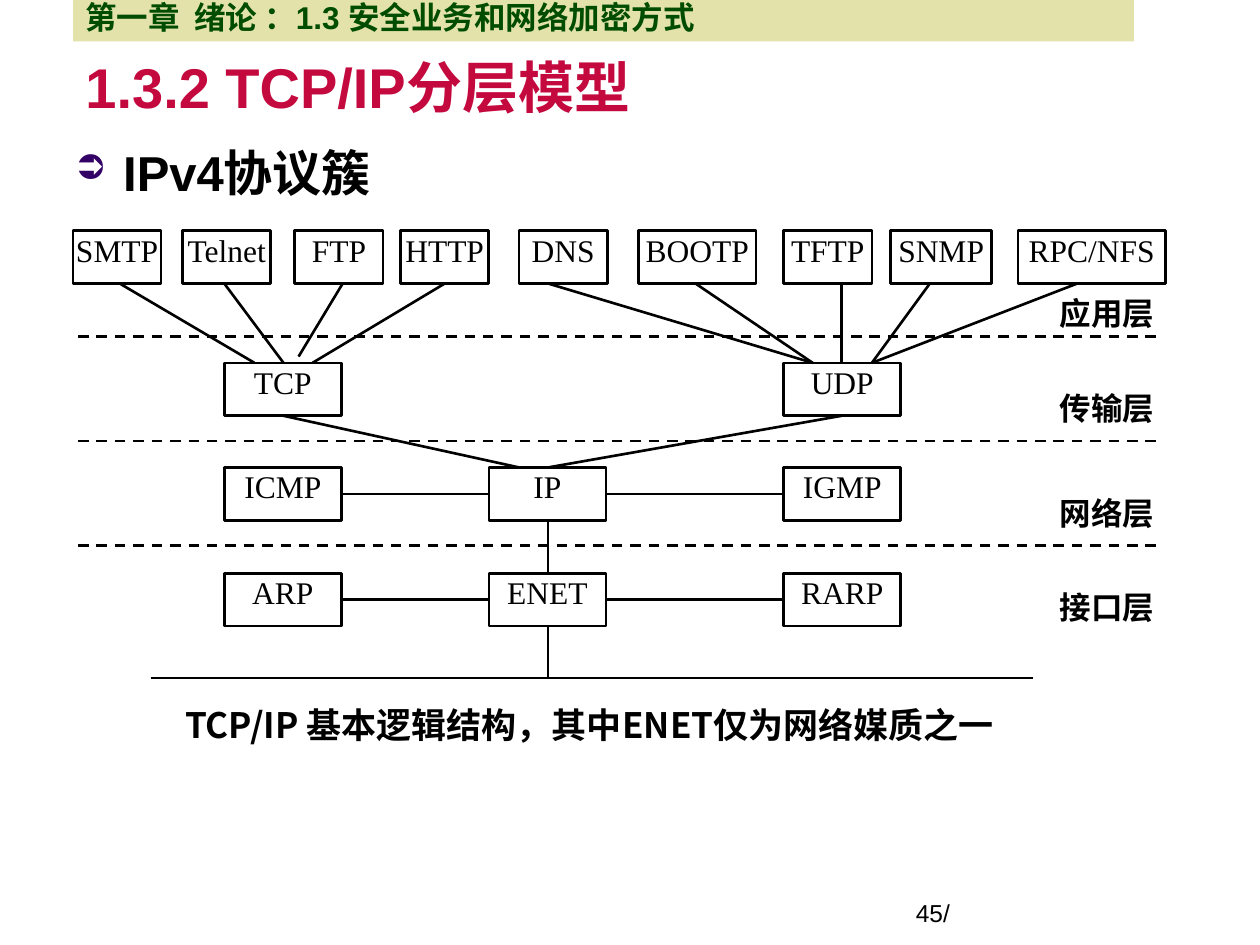
from lxml import etree
from pptx import Presentation
from pptx.dml.color import RGBColor
from pptx.enum.dml import MSO_LINE
from pptx.enum.shapes import MSO_CONNECTOR, MSO_SHAPE
from pptx.enum.text import MSO_ANCHOR, PP_ALIGN
from pptx.oxml.ns import qn
from pptx.util import Inches, Pt

RECT, STRAIGHT, DASH = MSO_SHAPE.RECTANGLE, MSO_CONNECTOR.STRAIGHT, MSO_LINE.DASH
TOP, BOTTOM = MSO_ANCHOR.TOP, MSO_ANCHOR.BOTTOM
LEFT, CENTER = PP_ALIGN.LEFT, PP_ALIGN.CENTER

BLACK = RGBColor(0x00, 0x00, 0x00)
WHITE = RGBColor(0xFF, 0xFF, 0xFF)
SAND = RGBColor(0xE2, 0xE2, 0xAA)
GREEN = RGBColor(0x00, 0x4C, 0x00)
CRIMSON = RGBColor(0xC3, 0x09, 0x3E)
PURPLE = "330066"

SANS, SERIF, CJK = "Arial", "Times New Roman", "Noto Sans CJK SC"
BOX_HEIGHT = 0.42
LINE_WIDTH = Pt(1.5)


class ProtocolSlide:
    def __init__(self, slide):
        self.shapes = slide.shapes

    def set_text(self, shape, text, size, font, color=BLACK, bold=False,
                 align=LEFT, anchor=TOP):
        frame = shape.text_frame
        frame.word_wrap = True
        frame.vertical_anchor = anchor
        frame.text = text
        paragraph = frame.paragraphs[0]
        paragraph.alignment = align
        for run in paragraph.runs:
            run.font.size = Pt(size)
            run.font.name = font
            run.font.bold = bold
            run.font.color.rgb = color
            east_asian = etree.SubElement(run.font._element, qn("a:ea"))
            east_asian.set("typeface", CJK)
        return paragraph

    def text(self, text, left, top, width, height, size, **style):
        holder = self.shapes.add_textbox(
            Inches(left), Inches(top), Inches(width), Inches(height))
        return self.set_text(holder, text, size, SANS, **style)

    def bullet(self, paragraph, symbol, color, percent, indent):
        paragraph.space_before = Pt(6)
        props = paragraph._p.get_or_add_pPr()
        props.set("marL", str(Inches(indent)))
        props.set("indent", str(-Inches(indent)))
        fill = etree.SubElement(props, qn("a:buClr"))
        etree.SubElement(fill, qn("a:srgbClr")).set("val", color)
        etree.SubElement(props, qn("a:buSzPct")).set("val", str(percent * 1000))
        etree.SubElement(props, qn("a:buChar")).set("char", symbol)

    def panel(self, left, top, width, height, fill=WHITE, outlined=False):
        panel = self.shapes.add_shape(
            RECT, Inches(left), Inches(top), Inches(width), Inches(height))
        panel.shadow.inherit = False
        panel.fill.solid()
        panel.fill.fore_color.rgb = fill
        if outlined:
            panel.line.color.rgb = BLACK
            panel.line.width = LINE_WIDTH
        else:
            panel.line.fill.background()
        return panel

    def label(self, text, left, top, width, size=18, font=SERIF, bold=True,
              outlined=False):
        panel = self.panel(left, top, width, BOX_HEIGHT, outlined=outlined)
        frame = panel.text_frame
        frame.margin_left = frame.margin_right = 0
        frame.margin_top = frame.margin_bottom = 0
        self.set_text(panel, text, size, font, bold=bold, align=CENTER)

    def protocol(self, name, left, top, width=0.93):
        self.label(name, left, top, width, bold=False, outlined=True)

    def line(self, x1, y1, x2, y2, dash=None):
        line = self.shapes.add_connector(
            STRAIGHT, Inches(x1), Inches(y1), Inches(x2), Inches(y2))
        line.line.color.rgb = BLACK
        line.line.width = LINE_WIDTH
        if dash:
            line.line.dash_style = dash
        etree.SubElement(line._element.spPr, qn("a:effectLst"))


def main():
    prs = Presentation()
    prs.slide_width, prs.slide_height = Inches(10), Inches(7.5)
    page = ProtocolSlide(prs.slides.add_slide(prs.slide_layouts[6]))

    # Headings and page number
    page.text("1.3.2 TCP/IP分层模型", 0.58, 0.42, 8.42, 0.58, 32,
              color=CRIMSON, bold=True, anchor=BOTTOM)
    topic = page.text("IPv4协议簇", 0.5, 1.08, 9.17, 1.5, 28, bold=True)
    page.bullet(topic, "➲", PURPLE, 70, 0.38)
    page.text("45/", 7.17, 7.08, 2.33, 0.33, 14)
    chapter = page.panel(0.58, 0, 8.42, 0.33, fill=SAND)
    page.set_text(chapter, "第一章  绪论 ：1.3 安全业务和网络加密方式", 18, SANS,
                  color=GREEN, bold=True, anchor=BOTTOM)

    # Caption and layer names
    page.label("TCP/IP 基本逻辑结构，其中ENET仅为网络媒质之一",
               1.28, 5.58, 6.8, size=20, font=CJK)
    for layer, top in (("应用层", 2.33), ("传输层", 3.09),
                       ("网络层", 3.92), ("接口层", 4.67)):
        page.label(layer, 8.2, top, 1.17)

    # Application protocols
    app_top = 1.83
    for name, left, width in (
            ("SMTP", 0.58, 0.7), ("Telnet", 1.45, 0.7), ("FTP", 2.34, 0.7),
            ("HTTP", 3.18, 0.7), ("DNS", 4.12, 0.7), ("BOOTP", 5.07, 0.93),
            ("TFTP", 6.22, 0.7), ("SNMP", 7.07, 0.8), ("RPC/NFS", 8.08, 1.17)):
        page.protocol(name, left, app_top, width)

    # Lower protocols in three columns
    columns = (1.78, 3.88, 6.22)
    transport_top, network_top, link_top = 2.88, 3.71, 4.55
    for top, names in ((transport_top, ("TCP", None, "UDP")),
                       (network_top, ("ICMP", "IP", "IGMP")),
                       (link_top, ("ARP", "ENET", "RARP"))):
        for name, left in zip(names, columns):
            if name:
                page.protocol(name, left, top)

    # Layer boundaries and network medium
    for y in (2.67, 3.5, 4.33):
        page.line(0.62, y, 9.2, y, DASH)
    medium_y = 5.38
    page.line(1.2, medium_y, 8.2, medium_y)

    # Application to transport links
    app_bottom = app_top + BOX_HEIGHT
    for app_x, transport_x, end_y in (
            (0.95, 2.02, transport_top), (1.78, 2.25, transport_top),
            (2.72, 2.37, 2.83), (3.53, 2.48, transport_top),
            (4.35, 6.45, transport_top), (5.52, 6.45, transport_top),
            (6.68, 6.68, transport_top), (7.38, 6.92, transport_top),
            (8.55, 6.92, transport_top)):
        page.line(transport_x, end_y, app_x, app_bottom)

    # Transport to network links
    for ip_x, transport_x in ((4.12, 2.25), (4.35, 6.68)):
        page.line(ip_x, network_top, transport_x, transport_top + BOX_HEIGHT)

    # Links beside and below the middle column
    for top, next_top in ((network_top, link_top), (link_top, medium_y)):
        middle_y = top + BOX_HEIGHT / 2
        page.line(3.88, middle_y, 2.72, middle_y)
        page.line(4.82, middle_y, 6.22, middle_y)
        page.line(4.35, top + BOX_HEIGHT, 4.35, next_top)

    prs.save("out.pptx")


if __name__ == "__main__":
    main()
